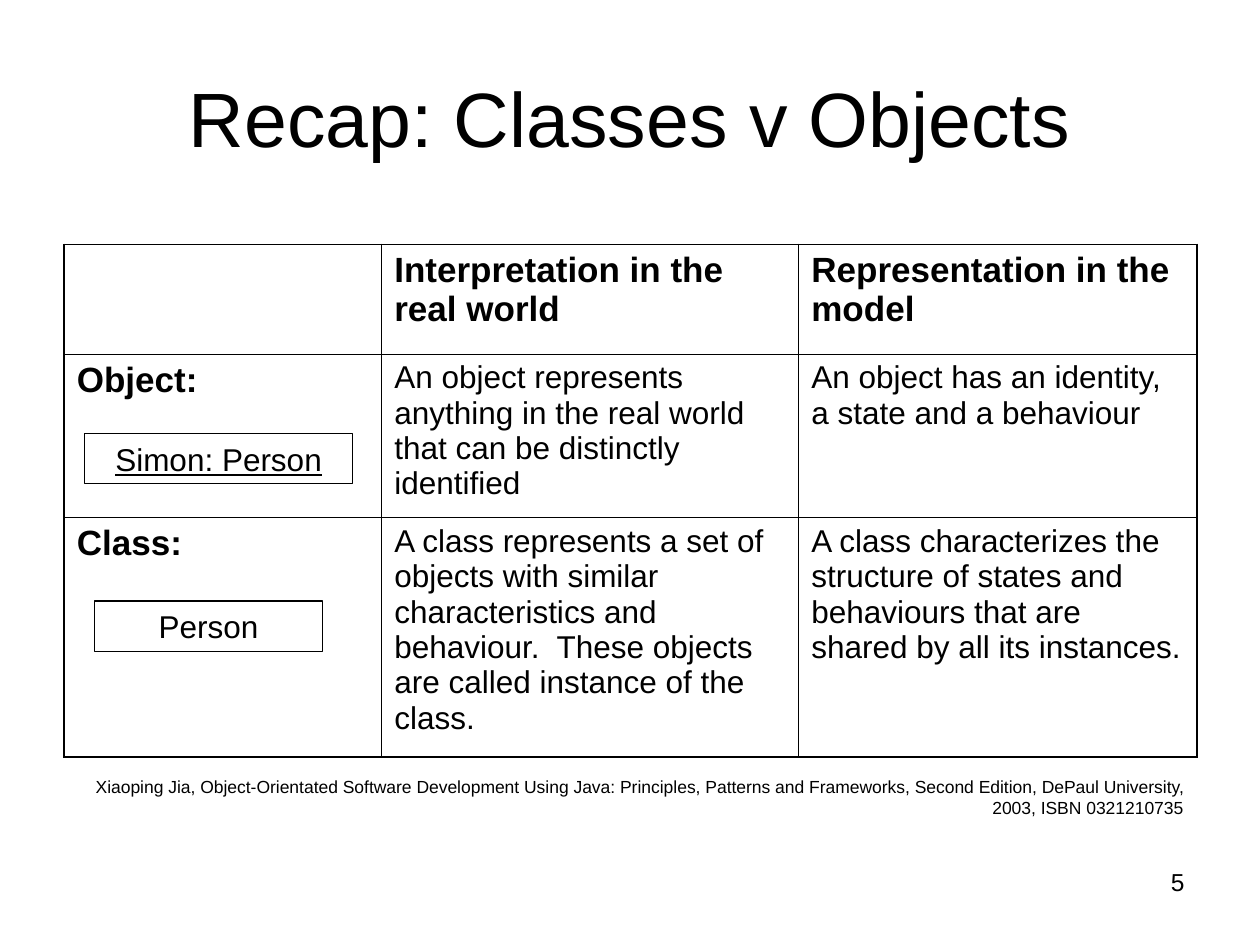
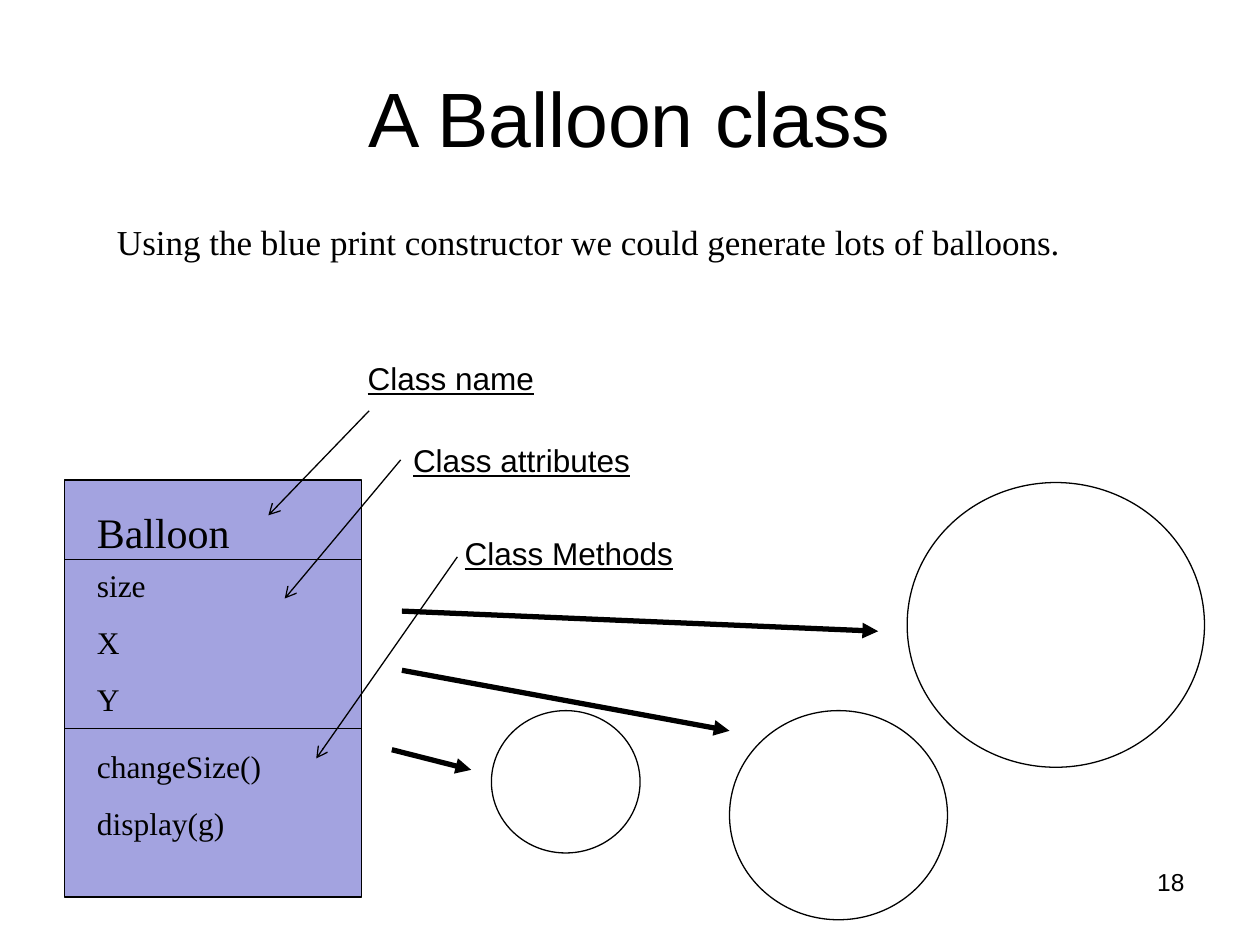
"""Build two teaching slides: classes versus objects, and a Balloon class."""
from dataclasses import dataclass
from lxml.etree import SubElement
from pptx import Presentation
from pptx.dml.color import RGBColor
from pptx.enum.shapes import MSO_CONNECTOR as Connector, MSO_SHAPE as Shape
from pptx.enum.text import MSO_ANCHOR as Anchor, MSO_AUTO_SIZE as AutoSize, PP_ALIGN as Align
from pptx.oxml.ns import qn
from pptx.util import Inches, Pt


@dataclass(frozen=True)
class Theme:
    ink: str = "000000"
    class_fill: str = "A3A3E0"
    sans: str = "Arial"
    serif: str = "Times New Roman"
    title: int = 44
    class_name: int = 24
    heading: int = 20
    body: int = 18
    number: int = 14
    source: int = 10
    thin: float = 0.75
    thick: float = 3
    grid_inner: float = 0.45
    grid_outer: float = 1.08
    box_spacing: float = 0.625
    cell_spacing: float = 0.25


THEME = Theme()

RECAP = "Recap: Classes v Objects"
RECAP_ROWS = [
    ("", "Interpretation in the real world", "Representation in the model"),
    ("Object:",
     "An object represents anything in the real world that can be distinctly identified",
     "An object has an identity, a state and a behaviour"),
    ("Class:",
     "A class represents a set of objects with similar characteristics and behaviour.  "
     "These objects are called instance of the class.",
     "A class characterizes the structure of states and behaviours that are shared by "
     "all its instances."),
]
COLUMN_WIDTHS = (2.52, 3.31, 3.16)
ROW_HEIGHTS = (0.87, 1.3, 1.9)
SOURCE = ("Xiaoping Jia, Object-Orientated Software Development Using Java: Principles, "
          "Patterns and Frameworks, Second Edition, DePaul University, 2003, ISBN 0321210735")
NOTATION = [
    ("Person", (0.75, 4.77, 1.81, 0.4), False),
    ("Simon: Person", (0.67, 3.44, 2.13, 0.4), True),
]

BALLOON = "A Balloon class"
INTRO = "Using the blue print constructor we could generate lots of balloons."
CLASS_BOX = (0.51, 3.81, 2.36, 3.31)
COMPARTMENTS = [
    (["changeSize()", "display(g)"], (0.67, 5.88, 2.38, 0.86), THEME.body),
    (["Balloon"], (0.67, 3.97, 2.2, 0.5), THEME.class_name),
    (["size", "X", "Y"], (0.67, 4.44, 2.2, 1.32), THEME.body),
]
DIVIDERS = (5.78, 4.44)
BALLOONS = [(7.2, 3.83, 2.36, 2.26), (3.9, 5.64, 1.18, 1.13), (5.79, 5.64, 1.73, 1.66)]
BALLOON_ARROWS = [
    ((3.11, 5.95), (3.74, 6.11)),
    ((3.19, 5.32), (5.79, 5.8)),
    ((3.19, 4.85), (6.97, 5.01)),
]
LABEL_SIZE = (2.5, 0.4)
LABELS = [
    ("Class name", (2.82, 2.8), (2.93, 3.26), (2.13, 4.09)),
    ("Class attributes", (3.18, 3.45), (3.18, 3.65), (2.26, 4.75)),
    ("Class Methods", (3.59, 4.19), (3.63, 4.42), (2.51, 6.02)),
]


def inches(values):
    return [Inches(value) for value in values]


def write(frame, lines, size, font=THEME.sans, align=Align.LEFT, bold=False,
          underline=False, spacing=THEME.box_spacing):
    frame.word_wrap = True
    for index, line in enumerate(lines):
        para = frame.paragraphs[0] if index == 0 else frame.add_paragraph()
        para.alignment = align
        para.space_before = Pt(round(size * spacing, 1))
        span = para.add_run()
        span.text = line
        span.font.name, span.font.size = font, Pt(size)
        span.font.bold, span.font.underline = bold, underline
        span.font.color.rgb = RGBColor.from_string(THEME.ink)


def add_text(page, lines, place, size, anchor=Anchor.TOP, **style):
    box = page.shapes.add_textbox(*inches(place))
    write(box.text_frame, lines, size, **style)
    box.text_frame.auto_size = AutoSize.NONE
    box.text_frame.vertical_anchor = anchor
    return box


def outline(line, width):
    line.color.rgb = RGBColor.from_string(THEME.ink)
    line.width = Pt(width)


def add_figure(page, kind, place, fill=None):
    figure = page.shapes.add_shape(kind, *inches(place))
    figure.shadow.inherit = False
    if fill:
        figure.fill.solid()
        figure.fill.fore_color.rgb = RGBColor.from_string(fill)
    else:
        figure.fill.background()
    outline(figure.line, THEME.thin)
    return figure


def add_line(page, start, end, width=THEME.thin, head=None):
    line = page.shapes.add_connector(Connector.STRAIGHT, *inches(start + end))
    outline(line.line, width)
    if head:
        SubElement(line.line._get_or_add_ln(), qn("a:tailEnd"), type=head)
    SubElement(line._element.spPr, qn("a:effectLst"))
    return line


def add_border(cell, side, width):
    edge = SubElement(cell._tc.get_or_add_tcPr(), qn(f"a:ln{side}"), w=str(Pt(width)))
    fill = SubElement(edge, qn("a:solidFill"))
    SubElement(fill, qn("a:srgbClr"), val=THEME.ink)


def add_recap_table(page):
    place = (0.51, 1.94, sum(COLUMN_WIDTHS), sum(ROW_HEIGHTS))
    table = page.shapes.add_table(len(ROW_HEIGHTS), len(COLUMN_WIDTHS), *inches(place)).table
    table.first_row = table.horz_banding = False
    for column, width in zip(table.columns, COLUMN_WIDTHS):
        column.width = Inches(width)
    last_row, last_column = len(ROW_HEIGHTS) - 1, len(COLUMN_WIDTHS) - 1
    for r, texts in enumerate(RECAP_ROWS):
        table.rows[r].height = Inches(ROW_HEIGHTS[r])
        for c, text in enumerate(texts):
            cell = table.cell(r, c)
            heading = r == 0 or c == 0
            if text:
                write(cell.text_frame, [text], THEME.heading if heading else THEME.body,
                      bold=heading, spacing=THEME.cell_spacing)
            outer = {"L": c == 0, "R": c == last_column, "T": r == 0, "B": r == last_row}
            for side, is_outer in outer.items():
                add_border(cell, side, THEME.grid_outer if is_outer else THEME.grid_inner)
            cell.fill.background()


def add_page(deck, title, number):
    page = deck.slides.add_slide(deck.slide_layouts[6])
    add_text(page, [str(number)], (7.17, 6.83, 2.33, 0.52), THEME.number, align=Align.RIGHT)
    add_text(page, [title], (0.5, 0.3, 9, 1.25), THEME.title, Anchor.MIDDLE,
             align=Align.CENTER)
    return page


def build_recap(deck):
    page = add_page(deck, RECAP, 5)
    add_recap_table(page)
    add_text(page, [SOURCE], (0.56, 6.11, 8.93, 0.44), THEME.source, align=Align.RIGHT)
    for name, place, underline in NOTATION:
        box = add_figure(page, Shape.RECTANGLE, place)
        box.text_frame.vertical_anchor = Anchor.TOP
        write(box.text_frame, [name], THEME.body, align=Align.CENTER, underline=underline)


def build_balloon(deck):
    page = add_page(deck, BALLOON, 18)
    add_text(page, [INTRO], (0.83, 1.7, 8.35, 0.44), THEME.heading, font=THEME.serif)
    add_figure(page, Shape.RECTANGLE, CLASS_BOX, THEME.class_fill)
    for lines, place, size in COMPARTMENTS:
        add_text(page, lines, place, size, font=THEME.serif)
    left, right = CLASS_BOX[0], CLASS_BOX[0] + CLASS_BOX[2]
    for y in DIVIDERS:
        add_line(page, (left, y), (right, y))
    for place in BALLOONS:
        add_figure(page, Shape.OVAL, place)
    for start, end in BALLOON_ARROWS:
        add_line(page, start, end, THEME.thick, "triangle")
    for text, corner, start, end in LABELS:
        label = add_text(page, [text], corner + LABEL_SIZE, THEME.body, underline=True)
        arrow = add_line(page, start, end, head="arrow")
        left_middle = (corner[0], round(corner[1] + LABEL_SIZE[1] / 2, 2))
        if start == left_middle:
            arrow.begin_connect(label, 1)


def main():
    deck = Presentation()
    deck.slide_width, deck.slide_height = Inches(10), Inches(7.5)
    build_recap(deck)
    build_balloon(deck)
    deck.save("out.pptx")


if __name__ == "__main__":
    main()
